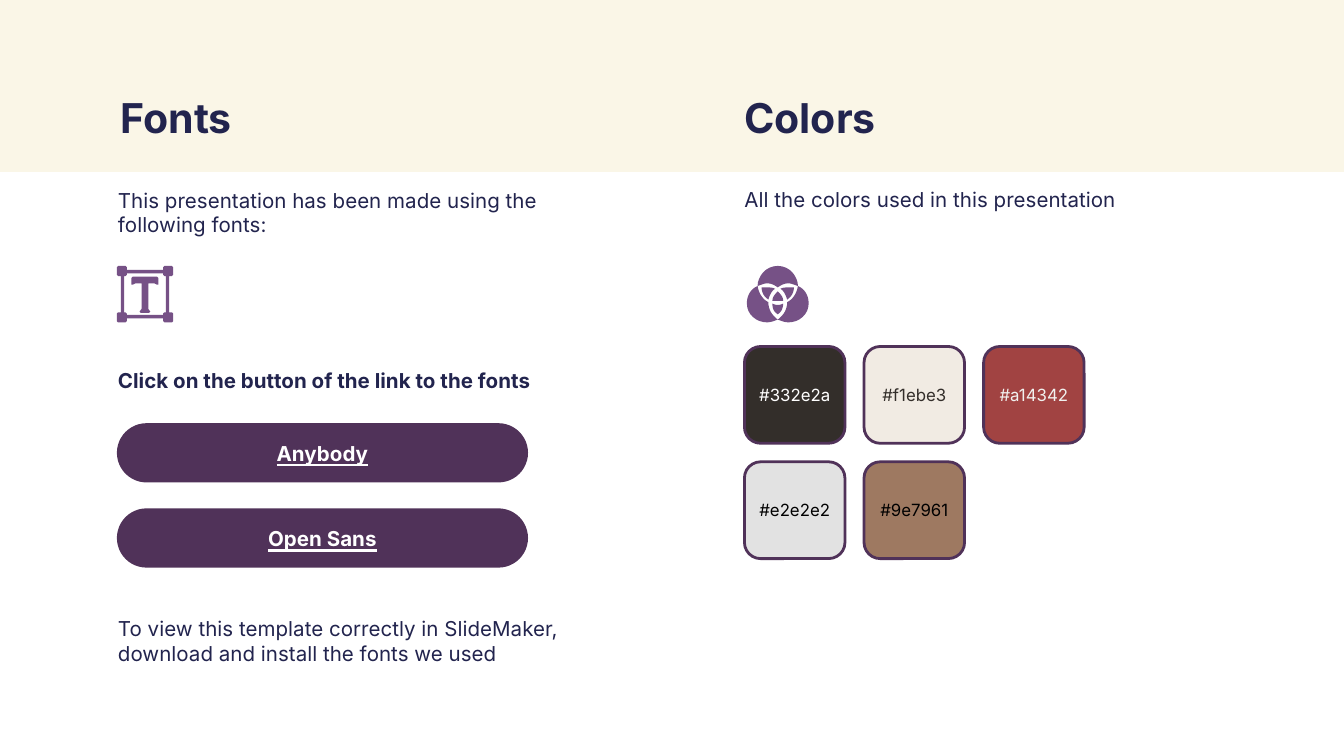
"""Build the fonts and colors slide of a presentation template."""
from pptx import Presentation
from pptx import util as u
from pptx.dml.color import RGBColor
from pptx.enum import shapes, text

NAVY, PLUM, MAUVE, WHITE = "22244E", "503259", "765186", "FFFFFF"
CREAM = "FAF6E7"
FONT = "Inter"
LEFT_X, RIGHT_X = 1.98, 13.82
UNIT = 0.0254

SWATCHES = [
    ("#332e2a", WHITE), ("#f1ebe3", "332E2A"), ("#a14342", "F1F1EF"),
    ("#e2e2e2", "000000"), ("#9e7961", "000000"),
]

PETAL = [(-8, -5), (-10, -5, -11, -5, -12, -5), (-12, -1, -10, 2, -7, 4),
         (-6, 1, -5, -2, -2, -4), (-4, -5, -6, -5, -8, -5)]
LOBE = [(-15, -6), (-20, -4, -23, 1, -23, 7), (-23, 15, -16, 21, -8, 21),
        (-5, 21, -3, 20, 0, 19), (-5, 15, -7, 11, -7, 6), (-11, 4, -14, 0, -15, -6)]
CAP = [(0, -21), (-9, -21, -15, -13, -15, -6), (-12, -7, -10, -8, -8, -8),
       (-5, -8, -3, -7, 0, -5), (3, -7, 5, -8, 8, -8), (10, -8, 12, -7, 15, -6),
       (15, -13, 9, -21, 0, -21)]
TIP = [(4, 7), (2, 8, 1, 8, 0, 8), (-1, 8, -2, 8, -4, 7),
       (-4, 11, -3, 13, 0, 15), (3, 13, 4, 10, 4, 7)]
CORE = [(0, -2), (-2, 0, -4, 2, -4, 5), (-3, 5, -1, 5, 0, 5),
        (1, 5, 3, 5, 4, 5), (4, 2, 2, 0, 0, -2)]
FRAME_OUTER = [(18, 13.5), (20, 13.5), (21, 14.5), (21, 20), (20, 21),
               (14.5, 21), (13.5, 20), (13.5, 18)]
FRAME_INNER = [(15.5, 13.5), (14.5, 13.5), (13.5, 14.5), (13.5, 15.5)]
LETTER_HALF = [(9, -13), (10, -12), (10, -7), (9, -7), (7, -8), (2.5, -8),
               (2.5, 11), (4, 13), (3, 14)]


def rgb(value):
    """Turn a hex string into a colour."""
    return RGBColor.from_string(value.lstrip("#").upper())


def style(sp, fill, line=None):
    """Set the fill and outline of a shape and drop its shadow."""
    sp.shadow.inherit = False
    sp.fill.solid()
    sp.fill.fore_color.rgb = rgb(fill)
    if line:
        sp.line.color.rgb = rgb(line)
        sp.line.width = u.Pt(1.5)
    else:
        sp.line.fill.background()


def write(sp, words, size, color, bold=False, underline=False, centered=False, inset=0.25):
    """Put one run of text in a shape."""
    tf = sp.text_frame
    tf.word_wrap = True
    tf.margin_left = tf.margin_right = tf.margin_top = tf.margin_bottom = u.Cm(inset)
    tf.vertical_anchor = text.MSO_ANCHOR.MIDDLE if centered else text.MSO_ANCHOR.TOP
    p = tf.paragraphs[0]
    p.alignment = text.PP_ALIGN.CENTER if centered else text.PP_ALIGN.LEFT
    r = p.add_run()
    r.text = words
    r.font.name = FONT
    r.font.size = u.Pt(size)
    r.font.bold = bold
    r.font.underline = underline
    r.font.color.rgb = rgb(color)


def add_text(s, x, y, w, h, words, size=11, bold=False):
    """Add a text box."""
    sp = s.shapes.add_textbox(u.Cm(x), u.Cm(y), u.Cm(w), u.Cm(h))
    write(sp, words, size, NAVY, bold)


def add_box(s, kind, x, y, w, h, fill, line=None):
    """Add a preset shape."""
    sp = s.shapes.add_shape(kind, u.Cm(x), u.Cm(y), u.Cm(w), u.Cm(h))
    style(sp, fill, line)
    return sp


def add_button(s, y, words):
    """Add a pill-shaped button."""
    sp = add_box(s, shapes.MSO_SHAPE.ROUNDED_RECTANGLE, 2.21, y, 7.77, 1.12, PLUM)
    sp.adjustments[0] = 0.5
    write(sp, words, 11, WHITE, bold=True, underline=True, centered=True)


def add_swatch(s, x, y, code, color):
    """Add a rounded colour sample labelled with its code."""
    sp = add_box(s, shapes.MSO_SHAPE.ROUNDED_RECTANGLE, x, y, 1.9, 1.83, code, PLUM)
    write(sp, code, 9, color, centered=True, inset=0)


def trace(path, steps=8):
    """Turn a start point and cubic curves into points."""
    points = [path[0]]
    for x1, y1, x2, y2, x3, y3 in path[1:]:
        x0, y0 = points[-1]
        for i in range(1, steps + 1):
            t = i / steps
            a, b, c, d = (1 - t) ** 3, 3 * t * (1 - t) ** 2, 3 * t * t * (1 - t), t ** 3
            points.append((a * x0 + b * x1 + c * x2 + d * x3,
                           a * y0 + b * y1 + c * y2 + d * y3))
    return points


def mirror(points):
    """Reflect points across the vertical axis."""
    return [(-x, y) for x, y in points]


def four_turns(points):
    """Repeat a corner in four quarter turns to close a contour."""
    contour = []
    for _ in range(4):
        contour += points
        points = [(-y, x) for x, y in points]
    return contour


def add_outline(s, cx, cy, *contours):
    """Add one icon part made of closed contours around a centre."""
    placed = [[(u.Cm(cx + x * UNIT), u.Cm(cy + y * UNIT)) for x, y in c] for c in contours]
    fb = s.shapes.build_freeform(*placed[0][0])
    for i, points in enumerate(placed):
        if i:
            fb.move_to(*points[0])
        fb.add_line_segments(points[1:], close=True)
    style(fb.convert_to_shape(), MAUVE)


def add_circles_icon(s, cx, cy):
    """Add the icon of three overlapping circles."""
    petal, lobe = trace(PETAL), trace(LOBE)
    for part in (petal, mirror(petal), lobe, mirror(lobe), trace(CAP), trace(TIP), trace(CORE)):
        add_outline(s, cx, cy, part)


def add_type_icon(s, cx, cy):
    """Add the icon of a letter in a selection frame."""
    add_outline(s, cx, cy, four_turns(FRAME_OUTER), four_turns(FRAME_INNER))
    add_outline(s, cx, cy, LETTER_HALF + mirror(LETTER_HALF)[::-1])


def main():
    """Build and save the slide."""
    prs = Presentation()
    prs.slide_width, prs.slide_height = u.Cm(25.4), u.Cm(14.29)
    s = prs.slides.add_slide(prs.slide_layouts[6])
    add_box(s, shapes.MSO_SHAPE.RECTANGLE, 0, -0.03, 25.4, 3.28, CREAM)

    add_text(s, 2.03, 1.5, 9.3, 1.35, "Fonts", 22, True)
    add_text(s, LEFT_X, 3.3, 9.6, 1.4,
             "This presentation has been made using the following fonts:")
    add_type_icon(s, 2.74, 5.56)
    add_text(s, LEFT_X, 6.73, 8.89, 0.84, "Click on the button of the link to the fonts", bold=True)
    for i, name in enumerate(("Anybody", "Open Sans")):
        add_button(s, 8 + i * 1.61, name)
    add_text(s, LEFT_X, 11.4, 9.6, 1.4,
             "To view this template correctly in SlideMaker, download and install the fonts we used")

    add_text(s, RIGHT_X, 1.5, 9.6, 1.35, "Colors", 22, True)
    add_text(s, RIGHT_X, 3.3, 9.6, 1.4, "All the colors used in this presentation")
    add_circles_icon(s, 14.7, 5.56)
    for i, (code, color) in enumerate(SWATCHES):
        row, col = divmod(i, 3)
        add_swatch(s, 14.07 + col * 2.26, 6.55 + row * 2.18, code, color)
    prs.save("out.pptx")


if __name__ == "__main__":
    main()
